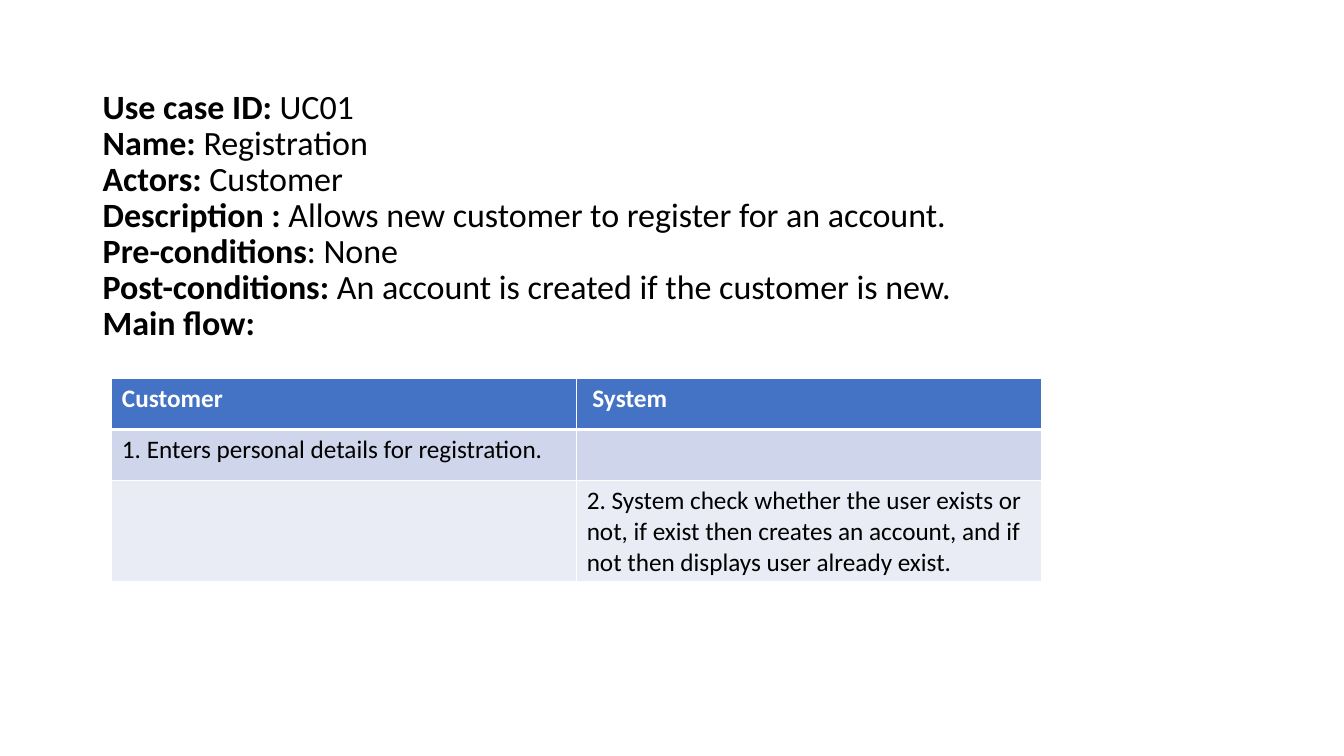
import pptx
import pptx.util
import pptx.dml.color
import pptx.enum.text
import pptx.oxml
import pptx.oxml.ns

Inches = pptx.util.Inches
RGBColor = pptx.dml.color.RGBColor

FONT = "Calibri"
BLACK = RGBColor(0x00, 0x00, 0x00)
WHITE = RGBColor(0xFF, 0xFF, 0xFF)
HEADER_BLUE = RGBColor(0x44, 0x72, 0xC4)
ROW_FILLS = [HEADER_BLUE, RGBColor(0xCF, 0xD5, 0xEA), RGBColor(0xE9, 0xEB, 0xF5)]

USE_CASE = [
    ("Use case ID: ", "UC01"),
    ("Name:", " Registration"),
    ("Actors:", " Customer"),
    ("Description : ", "Allows new customer to register for an account."),
    ("Pre-conditions", ": None"),
    ("Post-conditions: ", "An account is created if the customer is new."),
    ("Main flow:", ""),
]
MAIN_FLOW = [
    ("Customer", " System"),
    ("1. Enters personal details for registration.", ""),
    ("", "2. System check whether the user exists or not, if exist then "
         "creates an account, and if not then displays user already exist."),
]
ROW_HEIGHTS = [0.51, 0.51, 1.0]


def add_run(paragraph, text, size, color, bold):
    run = paragraph.add_run()
    run.text = text
    run.font.name = FONT
    run.font.size = pptx.util.Pt(size)
    run.font.color.rgb = color
    run.font.bold = bold


def add_border(cell, side, width):
    cell._tc.get_or_add_tcPr().append(pptx.oxml.parse_xml(
        f'<a:ln{side} {pptx.oxml.ns.nsdecls("a")} w="{pptx.util.Pt(width)}">'
        f'<a:solidFill><a:srgbClr val="{WHITE}"/></a:solidFill></a:ln{side}>'))


def add_use_case(slide, left, top, width, height):
    box = slide.shapes.add_textbox(
        Inches(left), Inches(top), Inches(width), Inches(height))
    frame = box.text_frame
    frame.word_wrap = True
    frame.vertical_anchor = pptx.enum.text.MSO_ANCHOR.MIDDLE
    for index, (label, value) in enumerate(USE_CASE):
        line = frame.add_paragraph() if index else frame.paragraphs[0]
        line.line_spacing = 0.88
        add_run(line, label, 24.3, BLACK, True)
        if value:
            add_run(line, value, 24.3, BLACK, False)


def add_main_flow(slide, left, top, width):
    flow = slide.shapes.add_table(
        len(MAIN_FLOW), 2, Inches(left), Inches(top),
        Inches(width), Inches(sum(ROW_HEIGHTS))).table
    for row, steps in enumerate(MAIN_FLOW):
        header = row == 0
        flow.rows[row].height = Inches(ROW_HEIGHTS[row])
        for column, step in enumerate(steps):
            cell = flow.cell(row, column)
            # Borders come before the fill in the cell properties
            for side in "LRTB":
                thick = (header and side == "B") or (row == 1 and side == "T")
                add_border(cell, side, 3 if thick else 1)
            cell.fill.solid()
            cell.fill.fore_color.rgb = ROW_FILLS[row]
            if step:
                add_run(cell.text_frame.paragraphs[0], step, 18,
                        WHITE if header else BLACK, header)


def main():
    deck = pptx.Presentation()
    deck.slide_width = Inches(13.33)
    deck.slide_height = Inches(7.5)
    slide = deck.slides.add_slide(deck.slide_layouts[6])

    # Use case summary
    add_use_case(slide, 0.92, 0.83, 11.88, 2.64)
    # Main flow steps
    add_main_flow(slide, 1.11, 3.75, 9.22)

    deck.save("out.pptx")


if __name__ == "__main__":
    main()
